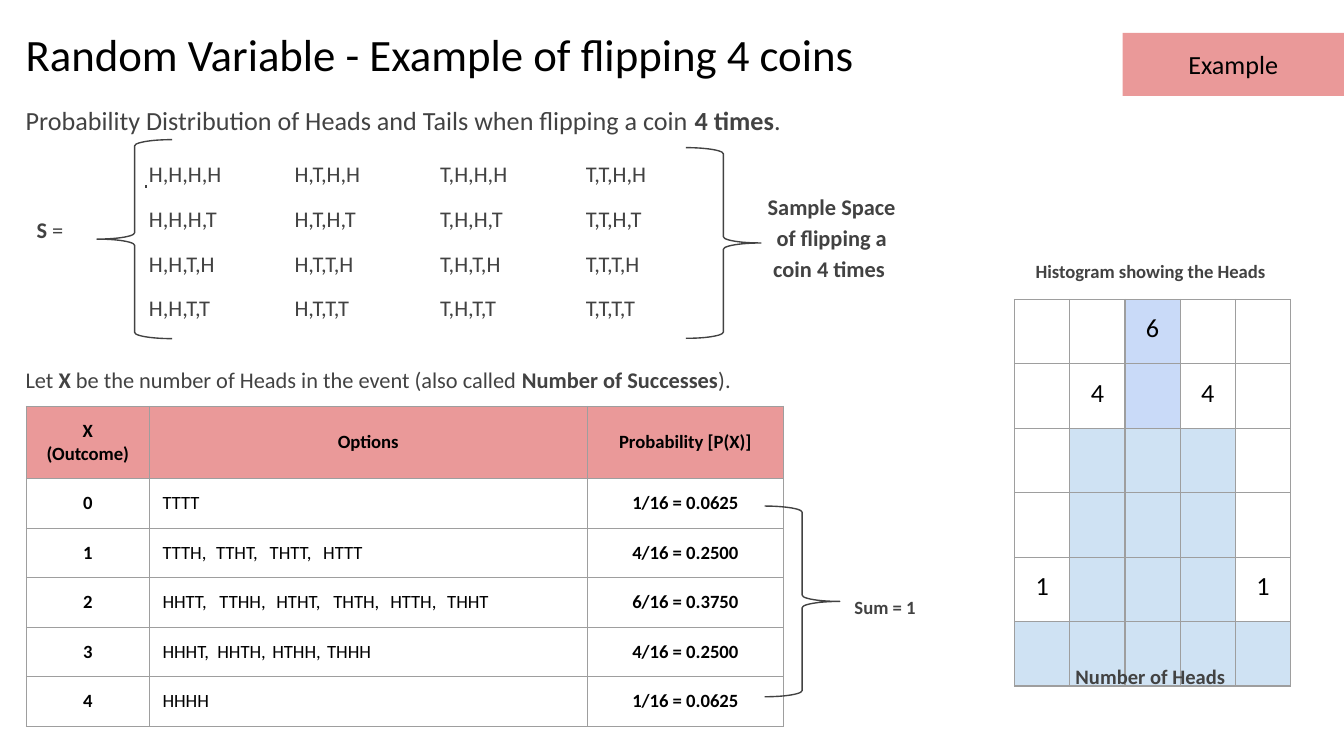
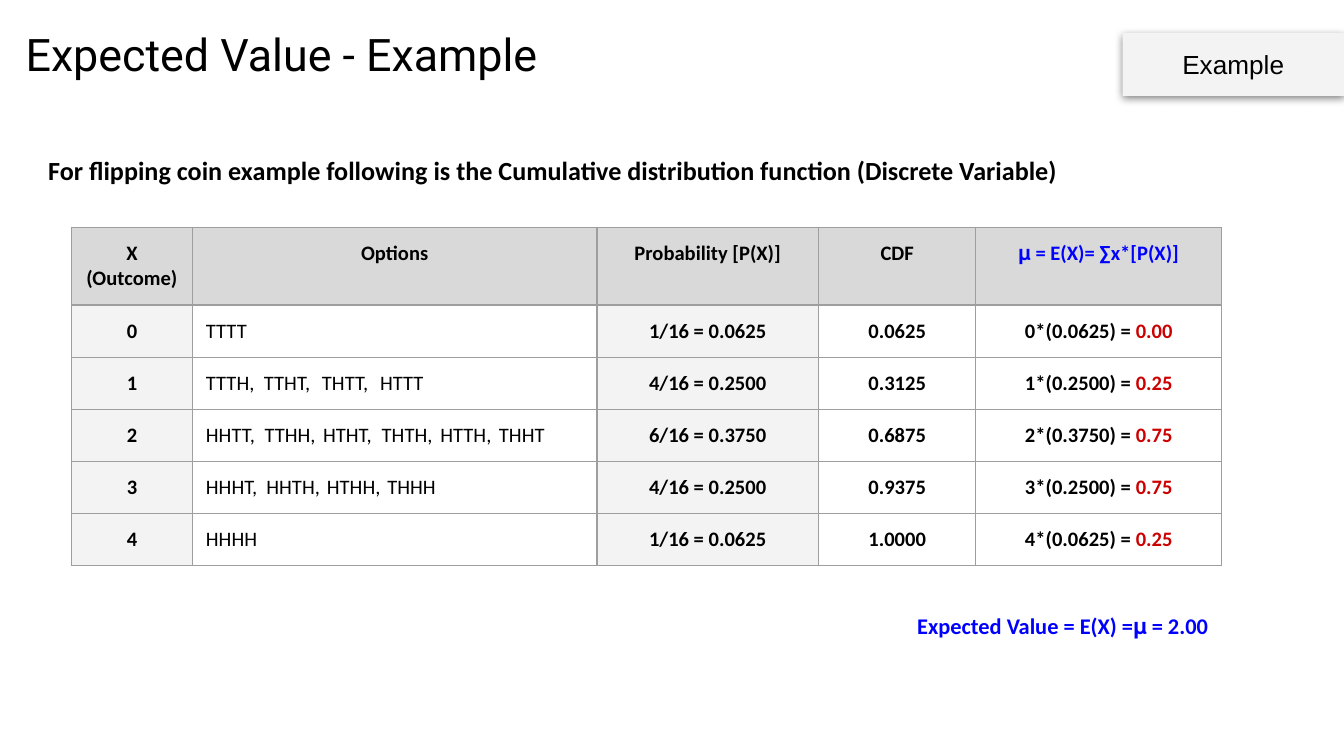
from itertools import accumulate, product

from lxml import etree
from pptx import Presentation
from pptx.dml.color import RGBColor
from pptx.enum.dml import MSO_LINE
from pptx.enum.shapes import MSO_CONNECTOR, MSO_SHAPE
from pptx.enum.text import MSO_ANCHOR, PP_ALIGN
from pptx.oxml.ns import qn
from pptx.util import Pt

LEFT, CENTER, RIGHT = PP_ALIGN.LEFT, PP_ALIGN.CENTER, PP_ALIGN.RIGHT
TOP, MIDDLE, BOTTOM = MSO_ANCHOR.TOP, MSO_ANCHOR.MIDDLE, MSO_ANCHOR.BOTTOM
RECTANGLE = MSO_SHAPE.RECTANGLE
LEFT_BRACE, RIGHT_BRACE = MSO_SHAPE.LEFT_BRACE, MSO_SHAPE.RIGHT_BRACE
STRAIGHT, LONG_DASH = MSO_CONNECTOR.STRAIGHT, MSO_LINE.LONG_DASH

BLACK = RGBColor(0x00, 0x00, 0x00)
WHITE = RGBColor(0xFF, 0xFF, 0xFF)
INK = RGBColor(0x42, 0x42, 0x42)
GRID = RGBColor(0x9E, 0x9E, 0x9E)
PINK = RGBColor(0xEA, 0x99, 0x99)
HEADER_GRAY = RGBColor(0xD9, 0xD9, 0xD9)
PALE_GRAY = RGBColor(0xF3, 0xF3, 0xF3)
BAR_BLUE = RGBColor(0xCF, 0xE2, 0xF3)
PEAK_BLUE = RGBColor(0xC9, 0xDA, 0xF8)
BLUE = RGBColor(0x00, 0x00, 0xFF)
RED = RGBColor(0xCC, 0x00, 0x00)
BODY_FONT = "Calibri"
INSET = Pt(7.2)


def write(frame, runs, size, color=BLACK, align=LEFT, font=BODY_FONT, tab=None):
    """Fill a frame with one paragraph of (text, bold[, colour]) runs."""
    frame.word_wrap = True
    frame.margin_left = frame.margin_right = INSET
    frame.margin_top = frame.margin_bottom = INSET
    paragraph = frame.paragraphs[0]
    paragraph.alignment = align
    if tab:
        stops = etree.SubElement(paragraph._p.get_or_add_pPr(), qn("a:tabLst"))
        for n in range(1, 6):
            etree.SubElement(stops, qn("a:tab"), pos=str(Pt(n * tab)), algn="l")
    for text, bold, *own_color in runs:
        run = paragraph.add_run()
        run.text = text
        run.font.name = font
        run.font.size = Pt(size)
        run.font.bold = bold
        run.font.color.rgb = own_color[0] if own_color else color


def add_grid(slide, left, top, widths, heights):
    """Add an empty table with thin gray borders and no fills."""
    table = slide.shapes.add_table(
        len(heights), len(widths), Pt(left), Pt(top),
        Pt(sum(widths)), Pt(sum(heights))).table
    table.first_row = table.horz_banding = False
    for column, width in zip(table.columns, widths):
        column.width = Pt(width)
    for row, height in zip(table.rows, heights):
        row.height = Pt(height)
    for cell in table.iter_cells():
        for side in ("lnL", "lnR", "lnT", "lnB"):
            border = etree.SubElement(cell._tc.get_or_add_tcPr(), qn(f"a:{side}"),
                                      w=str(Pt(0.75)))
            paint = etree.SubElement(border, qn("a:solidFill"))
            etree.SubElement(paint, qn("a:srgbClr"), val=str(GRID))
        cell.fill.background()
        cell.margin_left = cell.margin_right = INSET
        cell.margin_top = cell.margin_bottom = 0
    return table


prs = Presentation()
prs.slide_width, prs.slide_height = Pt(720), Pt(405)
coins = prs.slides.add_slide(prs.slide_layouts[6])
expected = prs.slides.add_slide(prs.slide_layouts[6])

# Dashed rule whose left part gives way to the sample space
rule = coins.shapes.add_connector(STRAIGHT, Pt(33.8), Pt(100.1), Pt(82.1), Pt(100.1))
rule.line.color.rgb = INK
rule.line.width = Pt(1.5)
rule.line.dash_style = LONG_DASH
etree.SubElement(rule._element.spPr, qn("a:effectLst"))
rule_mask = coins.shapes.add_shape(RECTANGLE, Pt(30.2), Pt(86.4), Pt(47.5), Pt(23.8))

# Titles and "Example" tags
for slide, title, width, title_font, tag_font, tag_fill in (
    (coins, "Random Variable - Example of flipping 4 coins", 492.5,
     BODY_FONT, BODY_FONT, PINK),
    (expected, "Expected Value - Example", 370, "Roboto", "Arial", PALE_GRAY),
):
    heading = slide.shapes.add_textbox(Pt(6.6), Pt(5), Pt(width), Pt(45.4))
    heading.text_frame.vertical_anchor = BOTTOM
    write(heading.text_frame, [(title, False)], 24, font=title_font)
    tag = slide.shapes.add_shape(RECTANGLE, Pt(601.4), Pt(17.6), Pt(118.6), Pt(33.8))
    tag.shadow.inherit = False
    tag.fill.solid()
    tag.fill.fore_color.rgb = tag_fill
    tag.line.fill.background()
    tag.text_frame.vertical_anchor = MIDDLE
    write(tag.text_frame, [("Example", False)], 14, align=CENTER, font=tag_font)

# Soft shadow under the second tag
effects = tag._element.spPr.find(qn("a:effectLst"))
shadow = etree.SubElement(effects, qn("a:outerShdw"), blurRad=str(Pt(4.5)),
                          dist=str(Pt(1.5)), dir="5400000", algn="bl", rotWithShape="0")
shadow_color = etree.SubElement(shadow, qn("a:srgbClr"), val=str(BLACK))
etree.SubElement(shadow_color, qn("a:alpha"), val="50000")

# Statement above the second table
statement = expected.shapes.add_textbox(Pt(18.7), Pt(73), Pt(621.4), Pt(33.1))
write(statement.text_frame,
      [("For flipping coin example following is the Cumulative distribution function "
        "(Discrete Variable)", True)], 14)
statement.text_frame.paragraphs[0].line_spacing = 1.15

rule_mask.shadow.inherit = False
rule_mask.line.fill.background()
for backed in (rule_mask, heading, statement):
    backed.fill.solid()
    backed.fill.fore_color.rgb = WHITE

# Tables of the distribution
options = ["TTTT", "TTTH, TTHT, THTT, HTTT", "HHTT, TTHH, HTHT, THTH, HTTH, THHT",
           "HHHT, HHTH, HTHH, THHH", "HHHH"]
ways = [1, 4, 6, 4, 1]
distribution_head = [[("X (Outcome)", True)], [("Options", True)],
                     [("Probability [P(X)]", True)]]
expectation_head = distribution_head + [
    [("CDF", True)], [("𝛍", False, BLUE), (" = E(X)= ∑x*[P(X)]", True, BLUE)]]
distribution_rows, expectation_rows = [distribution_head], [expectation_head]
for heads, (listing, count, running) in enumerate(zip(options, ways, accumulate(ways))):
    chance = count / 16
    row = [[(str(heads), True)], [(listing.replace(", ", ",\t"), False)],
           [(f"{count}/16 = {chance:.4f}", True)]]
    distribution_rows.append(row)
    expectation_rows.append(row + [
        [(f"{running / 16:.4f}", True)],
        [(f"{heads}*({chance:.4f}) = ", True), (f"{heads * chance:.2f}", True, RED)]])

for slide, left, top, widths, heights, rows, size, tabs, head_anchor, head_fill, fills in (
    (coins, 14.2, 217.8, [65.7, 234.7, 105.1], [38.6] + [26.55] * 5,
     distribution_rows, 10, [None, None, 28.7, 30.5, 29.4, None],
     MIDDLE, PINK, [WHITE] * 3),
    (expected, 38.3, 121.8, [64.8, 216.7, 118.8, 84.2, 131.8], [41.6] + [27.95] * 5,
     expectation_rows, 11, [None, None, 31.1, 31.4, 32.4, None],
     TOP, HEADER_GRAY, [PALE_GRAY, None, PALE_GRAY, None, None]),
):
    table = add_grid(slide, left, top, widths, heights)
    for r, row in enumerate(rows):
        for c, runs in enumerate(row):
            cell = table.cell(r, c)
            is_listing = r > 0 and c == 1
            write(cell.text_frame, runs, size, align=LEFT if is_listing else CENTER,
                  tab=tabs[r] if is_listing else None)
            cell.margin_top = cell.margin_bottom = INSET
            cell.vertical_anchor = TOP if r else head_anchor
            fill = fills[c] if r else head_fill
            if fill:
                cell.fill.solid()
                cell.fill.fore_color.rgb = fill

# Histogram of the number of heads
levels = max(ways)
histogram = add_grid(coins, 543.5, 160.4, [29.6] * 5, [34.55] * levels)
for c, count in enumerate(ways):
    for r in range(levels - count, levels):
        bar = histogram.cell(r, c).fill
        bar.solid()
        bar.fore_color.rgb = PEAK_BLUE if r < 2 else BAR_BLUE
    label = histogram.cell(max(0, levels - 1 - count), c)
    write(label.text_frame, [(str(count), False)], 14, align=CENTER)
    label.margin_top = label.margin_bottom = INSET

# Text blocks: slide, box, runs, size, colour, alignment
blocks = [
    (coins, (6.6, 46.1, 608.4, 33.1),
     [("Probability Distribution of Heads and Tails when flipping a coin ", False),
      ("4 times", True), (".", False)], 14, INK, LEFT),
    (coins, (12.5, 106.6, 40.3, 33.1), [("S", True), (" =", False)], 12, INK, LEFT),
    (coins, (402.7, 94.3, 85.7, 80.6),
     [("Sample Space of flipping a coin 4 times ", True)], 12, INK, CENTER),
    (coins, (6.6, 187, 504, 33.1),
     [("Let ", False), ("X", True),
      (" be the number of Heads in the event (also called ", False),
      ("Number of Successes", True), (").", False)], 12, INK, LEFT),
    (coins, (522.7, 346.6, 187.2, 23.8), [("Number of Heads", True)], 11, INK, CENTER),
    (coins, (522.7, 130.3, 187.2, 23.8),
     [("Histogram showing the Heads", True)], 10, INK, CENTER),
    (coins, (450.7, 310.3, 69.1, 23.8), [("Sum = 1", True)], 10, INK, LEFT),
    (expected, (438.5, 318.7, 216, 33.1),
     [("Expected Value = E(X) =𝛍 = 2.00", True)], 12, BLUE, RIGHT),
]
for n, flips in enumerate(product("HT", repeat=4)):
    column, row = divmod(n, 4)
    blocks.append((coins, (72.7 + 78 * column, 76.4 + 24 * row, 92.2, 33.1),
                   [(",".join(flips), False)], 12, INK, LEFT))
for slide, box, runs, size, color, align in blocks:
    frame = slide.shapes.add_textbox(*map(Pt, box)).text_frame
    write(frame, runs, size, color, align)
    frame.paragraphs[0].line_spacing = 1.15

# Braces around the sample space and the probabilities
for kind, left, top, height in ((LEFT_BRACE, 52, 74.8, 106.6),
                                (RIGHT_BRACE, 367.4, 79.1, 102.2),
                                (RIGHT_BRACE, 409.6, 271.1, 102.2)):
    brace = coins.shapes.add_shape(kind, Pt(left), Pt(top), Pt(40.3), Pt(height))
    brace.shadow.inherit = False
    brace.fill.background()
    brace.line.color.rgb = INK
    brace.line.width = Pt(0.75)

prs.save("out.pptx")
